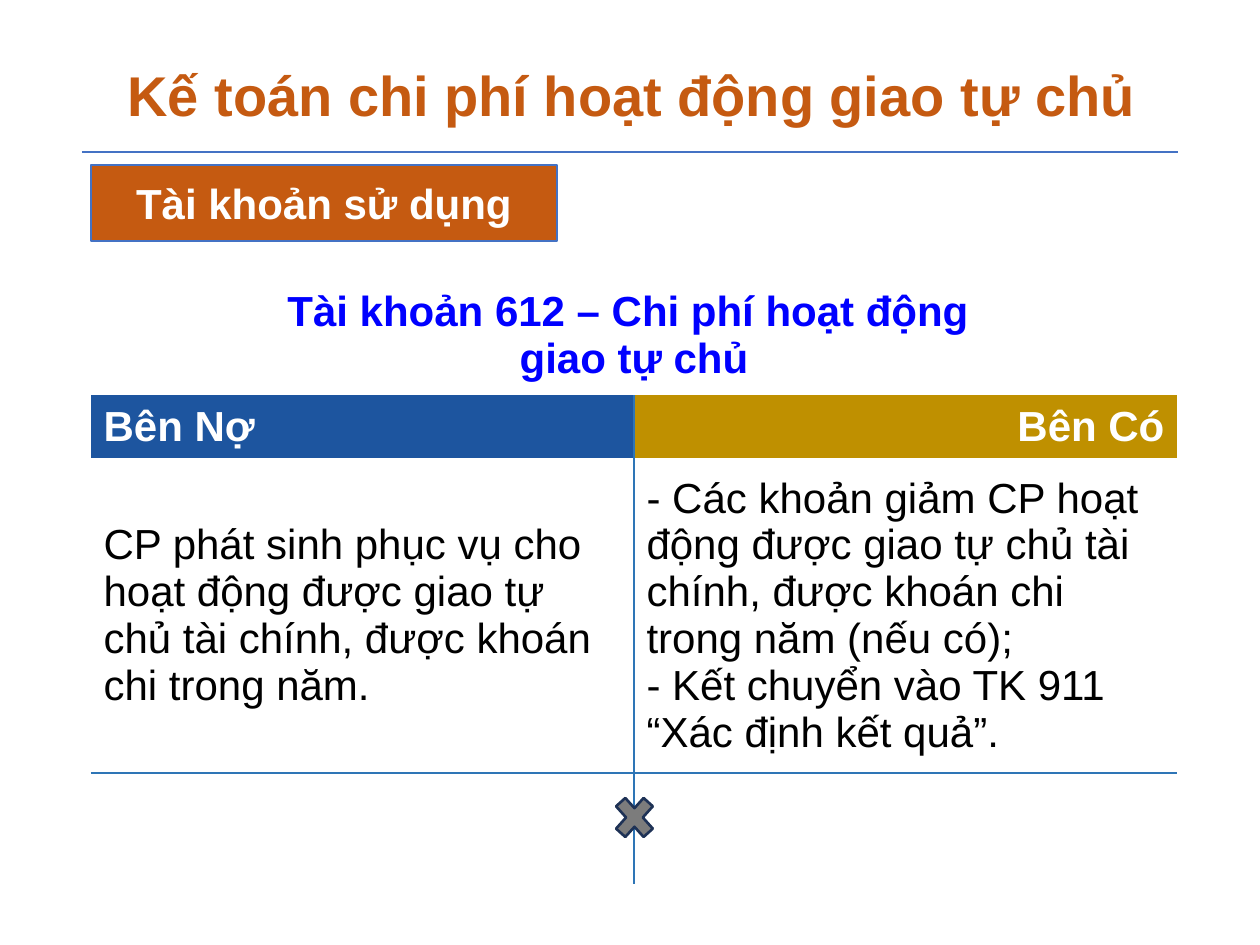
from dataclasses import dataclass

from lxml.etree import SubElement
from pptx import Presentation
from pptx.dml.color import RGBColor as Rgb
from pptx.enum.shapes import MSO_CONNECTOR as Connector, MSO_SHAPE as Shape
from pptx.enum.text import MSO_ANCHOR as Anchor, MSO_AUTO_SIZE as AutoSize, PP_ALIGN as Align
from pptx.oxml.ns import qn
from pptx.util import Emu, Pt


@dataclass(frozen=True)
class Theme:
    font: str = "Arial"
    title_size: int = 32
    text_size: int = 24
    orange: str = "C55A11"
    rule: str = "4472C4"
    heading: str = "0000FF"
    debit: str = "1D559F"
    credit: str = "BF9000"
    grid: str = "2E75B6"
    header_rule: str = "5B9BD5"
    cross: str = "7C7C7C"
    cross_line: str = "1E3256"
    white: str = "FFFFFF"
    black: str = "000000"


THEME = Theme()
PX_PER_INCH = 126


def px(length):
    return Emu(round(length * 914400 / PX_PER_INCH))


def color(code):
    return Rgb.from_string(code)


def write(frame, lines, code, size=THEME.text_size, bold=True, align=Align.LEFT):
    frame.text = "\n".join(lines)
    for para in frame.paragraphs:
        para.alignment = align
        for span in para.runs:
            span.font.name = THEME.font
            span.font.size = Pt(size)
            span.font.bold = bold
            span.font.color.rgb = color(code)


def add_shape(page, kind, area, fill, line, width):
    shape = page.shapes.add_shape(kind, *map(px, area))
    shape.shadow.inherit = False
    shape.fill.solid()
    shape.fill.fore_color.rgb = color(fill)
    shape.line.color.rgb = color(line)
    shape.line.width = Pt(width)
    return shape


def set_borders(cell, borders):
    properties = cell._tc.get_or_add_tcPr()
    for side in "LRTB":
        line = SubElement(properties, qn(f"a:ln{side}"))
        if side in borders:
            line.set("w", str(Pt(1)))
            fill = SubElement(line, qn("a:solidFill"))
            SubElement(fill, qn("a:srgbClr")).set("val", borders[side])
        else:
            SubElement(line, qn("a:noFill"))


def add_title(page, left, top, width, height):
    box = page.shapes.add_textbox(*map(px, (left, top, width, height)))
    frame = box.text_frame
    frame.word_wrap = True
    frame.auto_size = AutoSize.SHAPE_TO_FIT_TEXT
    write(frame, ["Kế toán chi phí hoạt động giao tự chủ"], THEME.orange, THEME.title_size)
    frame.paragraphs[0]._p.get_or_add_pPr().set("indent", str(px(63)))


def add_rule(page, left, top, width):
    ends = map(px, (left, top, left + width, top))
    rule = page.shapes.add_connector(Connector.STRAIGHT, *ends)
    rule.line.color.rgb = color(THEME.rule)
    rule.line.width = Pt(1.5)
    SubElement(rule._element.spPr, qn("a:effectLst"))


def add_label(page, *area):
    label = add_shape(page, Shape.RECTANGLE, area, THEME.orange, THEME.rule, 0.75)
    frame = label.text_frame
    frame.word_wrap = False
    frame.vertical_anchor = Anchor.MIDDLE
    write(frame, ["Tài khoản sử dụng"], THEME.white, align=Align.CENTER)


def add_account(page, left, top, width, row_heights):
    area = map(px, (left, top, width, sum(row_heights)))
    table = page.shapes.add_table(len(row_heights), 2, *area).table
    table.first_row = table.horz_banding = False
    for row, height in zip(table.rows, row_heights):
        row.height = px(height)
    table.cell(0, 0).merge(table.cell(0, 1))

    row_borders = [
        {"B": THEME.header_rule},
        {},
        {"B": THEME.grid},
        {"T": THEME.grid},
    ]
    for row, borders in enumerate(row_borders):
        for column, inner in enumerate("RL"):
            cell = table.cell(row, column)
            cell.vertical_anchor = Anchor.MIDDLE
            set_borders(cell, {**borders, inner: THEME.grid} if row else borders)
            cell.fill.background()

    heading = ["Tài khoản 612 – Chi phí hoạt động ", "giao tự chủ"]
    write(table.cell(0, 0).text_frame, heading, THEME.heading, align=Align.CENTER)

    sides = [
        ("Bên Nợ", THEME.debit, Align.LEFT, [
            "CP phát sinh phục vụ cho hoạt động được giao tự chủ tài chính, "
            "được khoán chi trong năm.",
        ]),
        ("Bên Có", THEME.credit, Align.RIGHT, [
            "- Các khoản giảm CP hoạt động được giao tự chủ tài chính, "
            "được khoán chi trong năm (nếu có);",
            "- Kết chuyển vào TK 911 “Xác định kết quả”.",
        ]),
    ]
    for column, (name, fill, align, entries) in enumerate(sides):
        header = table.cell(1, column)
        header.fill.solid()
        header.fill.fore_color.rgb = color(fill)
        write(header.text_frame, [name], THEME.white, align=align)
        write(table.cell(2, column).text_frame, entries, THEME.black, bold=False)


def add_cross(page, *area):
    add_shape(page, Shape.MATH_MULTIPLY, area, THEME.cross, THEME.cross_line, 1.5)


def main():
    deck = Presentation()
    deck.slide_width, deck.slide_height = px(1260), px(945)
    page = deck.slides.add_slide(deck.slide_layouts[6])
    add_rule(page, 82, 152, 1096)
    add_account(page, 91, 275, 1086, [120, 63, 315, 111])
    add_cross(page, 608, 788, 53, 59)
    add_label(page, 91, 165, 466, 76)
    add_title(page, 52, 54, 1124, 81)
    deck.save("out.pptx")


if __name__ == "__main__":
    main()
